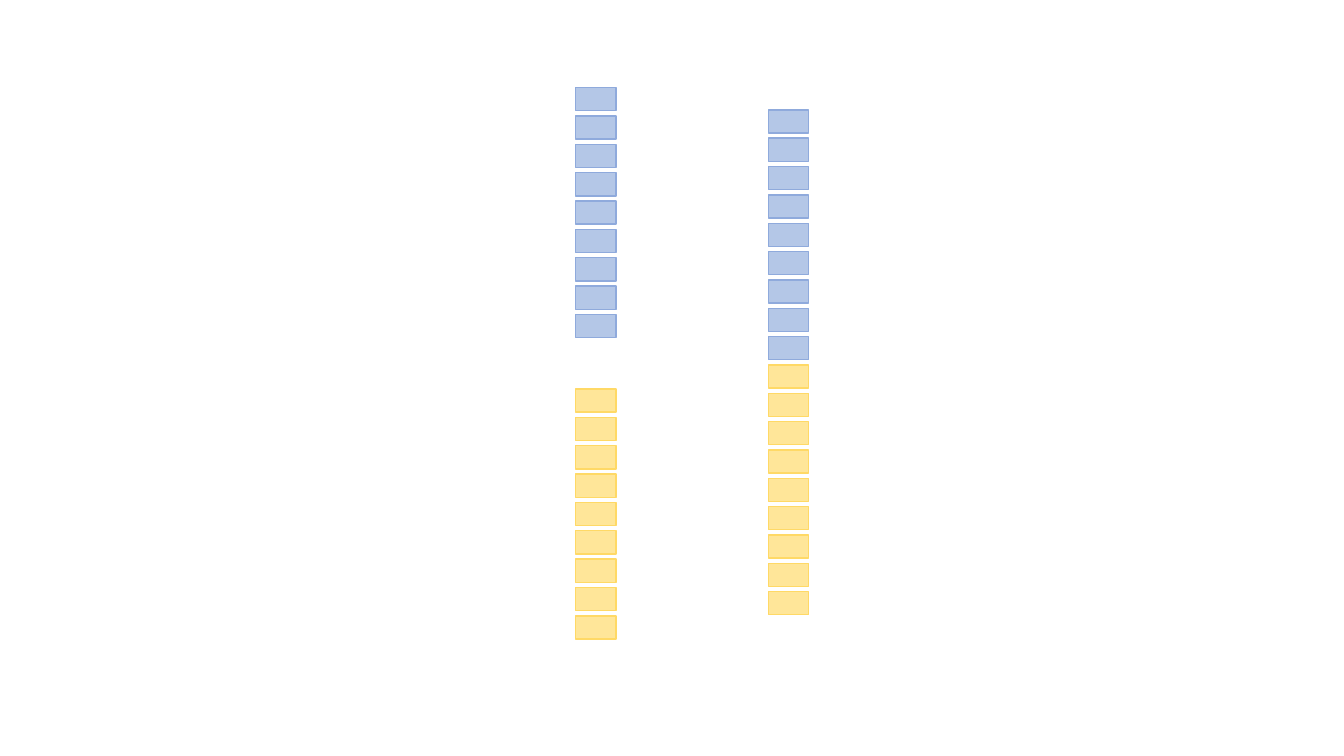
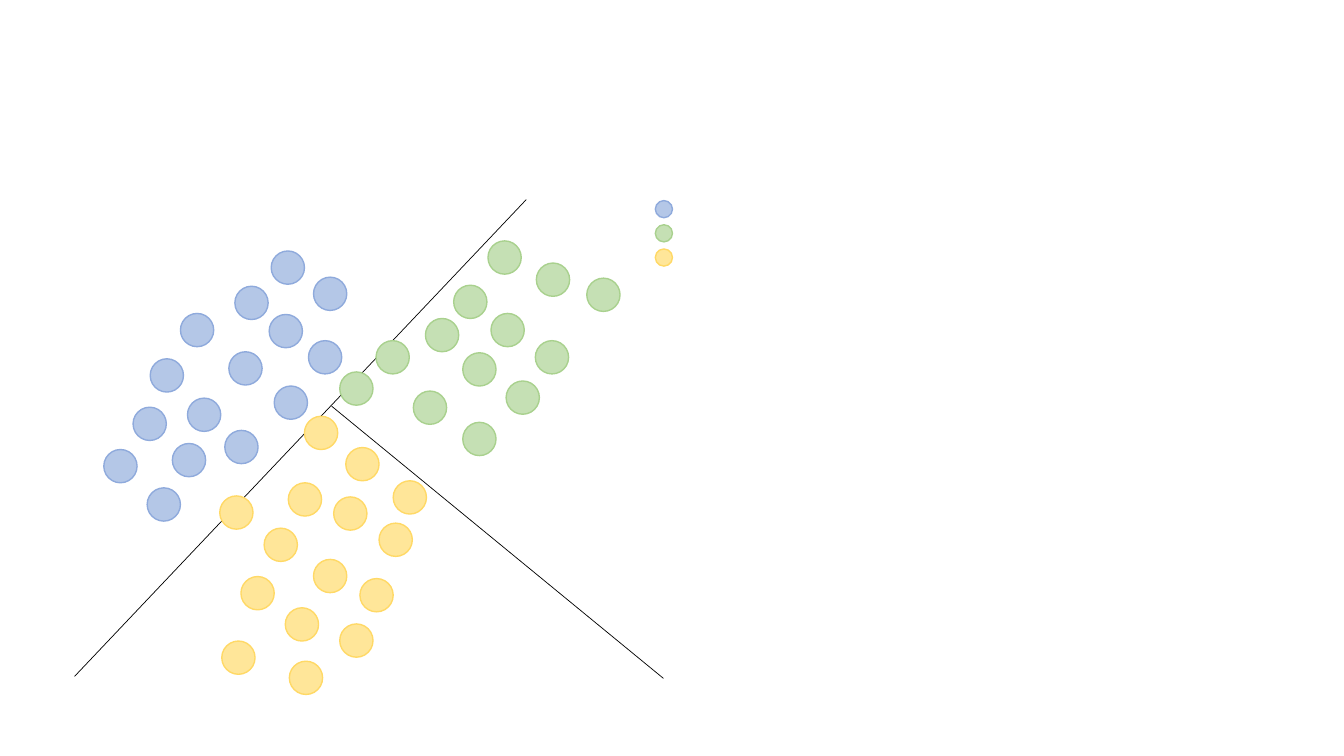
from pptx import Presentation
from pptx.dml.color import RGBColor
from pptx.enum.shapes import MSO_CONNECTOR, MSO_SHAPE
from pptx.oxml.ns import qn
from pptx.util import Pt
from lxml import etree

PX = 9144
RECTANGLE = MSO_SHAPE.RECTANGLE
OVAL = MSO_SHAPE.OVAL
STRAIGHT = MSO_CONNECTOR.STRAIGHT

BLACK = RGBColor(0x00, 0x00, 0x00)
BLUE_FILL = RGBColor(0xB4, 0xC7, 0xE7)
BLUE_LINE = RGBColor(0x8F, 0xAA, 0xDC)
GREEN_FILL = RGBColor(0xC5, 0xE0, 0xB4)
GREEN_LINE = RGBColor(0xA9, 0xD1, 0x8E)
YELLOW_FILL = RGBColor(0xFF, 0xE6, 0x99)
YELLOW_LINE = RGBColor(0xFF, 0xD9, 0x66)

BLUE = (BLUE_FILL, BLUE_LINE)
GREEN = (GREEN_FILL, GREEN_LINE)
YELLOW = (YELLOW_FILL, YELLOW_LINE)


def add_marker(slide, kind, left, top, width, height, colors):
    marker = slide.shapes.add_shape(
        kind, *(round(length * PX) for length in (left, top, width, height)))
    fill_color, line_color = colors
    marker.shadow.inherit = False
    marker.fill.solid()
    marker.fill.fore_color.rgb = fill_color
    marker.line.color.rgb = line_color
    marker.line.width = Pt(1)


def add_boundary(slide, *ends):
    boundary = slide.shapes.add_connector(STRAIGHT, *(end * PX for end in ends))
    boundary.line.color.rgb = BLACK
    boundary.line.width = Pt(0.5)
    etree.SubElement(boundary._element.spPr, qn("a:effectLst"))


deck = Presentation()
deck.slide_width = 1333 * PX
deck.slide_height = 750 * PX
blank_layout = deck.slide_layouts[6]

stack_slide = deck.slides.add_slide(blank_layout)
BOXES = 9
BOX_WIDTH, BOX_HEIGHT = 40, 23
STACK_SPAN = 225
box_pitch = STACK_SPAN / (BOXES - 1)
stacks = [
    (571, 87, BLUE),
    (571, 386, YELLOW),
    (762, 109, BLUE),
    (762, 362, YELLOW),
]
for left, top, colors in stacks:
    for row in range(BOXES):
        add_marker(stack_slide, RECTANGLE, left, top + row * box_pitch,
                   BOX_WIDTH, BOX_HEIGHT, colors)

cluster_slide = deck.slides.add_slide(blank_layout)
add_boundary(cluster_slide, 522, 198, 74, 671)
add_boundary(cluster_slide, 329, 403, 658, 673)

POINT_SIZE = 33
clusters = [
    (BLUE, [
        (269, 249), (311, 275), (233, 284), (267, 312), (179, 311),
        (306, 338), (272, 383), (227, 349), (149, 356), (186, 395),
        (223, 427), (146, 484), (103, 446), (171, 440), (132, 404),
    ]),
    (GREEN, [
        (484, 239), (532, 261), (582, 276), (487, 311), (531, 338),
        (450, 283), (459, 350), (502, 378), (422, 316), (410, 388),
        (459, 419), (337, 369), (373, 338),
    ]),
    (YELLOW, [
        (287, 656), (343, 444), (390, 477), (331, 493), (376, 519),
        (286, 479), (311, 555), (357, 574), (262, 524), (337, 619),
        (283, 603), (239, 572), (218, 492), (302, 413), (220, 636),
    ]),
]
for colors, points in clusters:
    for left, top in points:
        add_marker(cluster_slide, OVAL, left, top, POINT_SIZE, POINT_SIZE, colors)

LEGEND_LEFT, LEGEND_TOP = 650, 199
LEGEND_SIZE, LEGEND_PITCH = 17, 24
for row, (colors, points) in enumerate(clusters):
    add_marker(cluster_slide, OVAL, LEGEND_LEFT, LEGEND_TOP + row * LEGEND_PITCH,
               LEGEND_SIZE, LEGEND_SIZE, colors)

deck.save("out.pptx")
